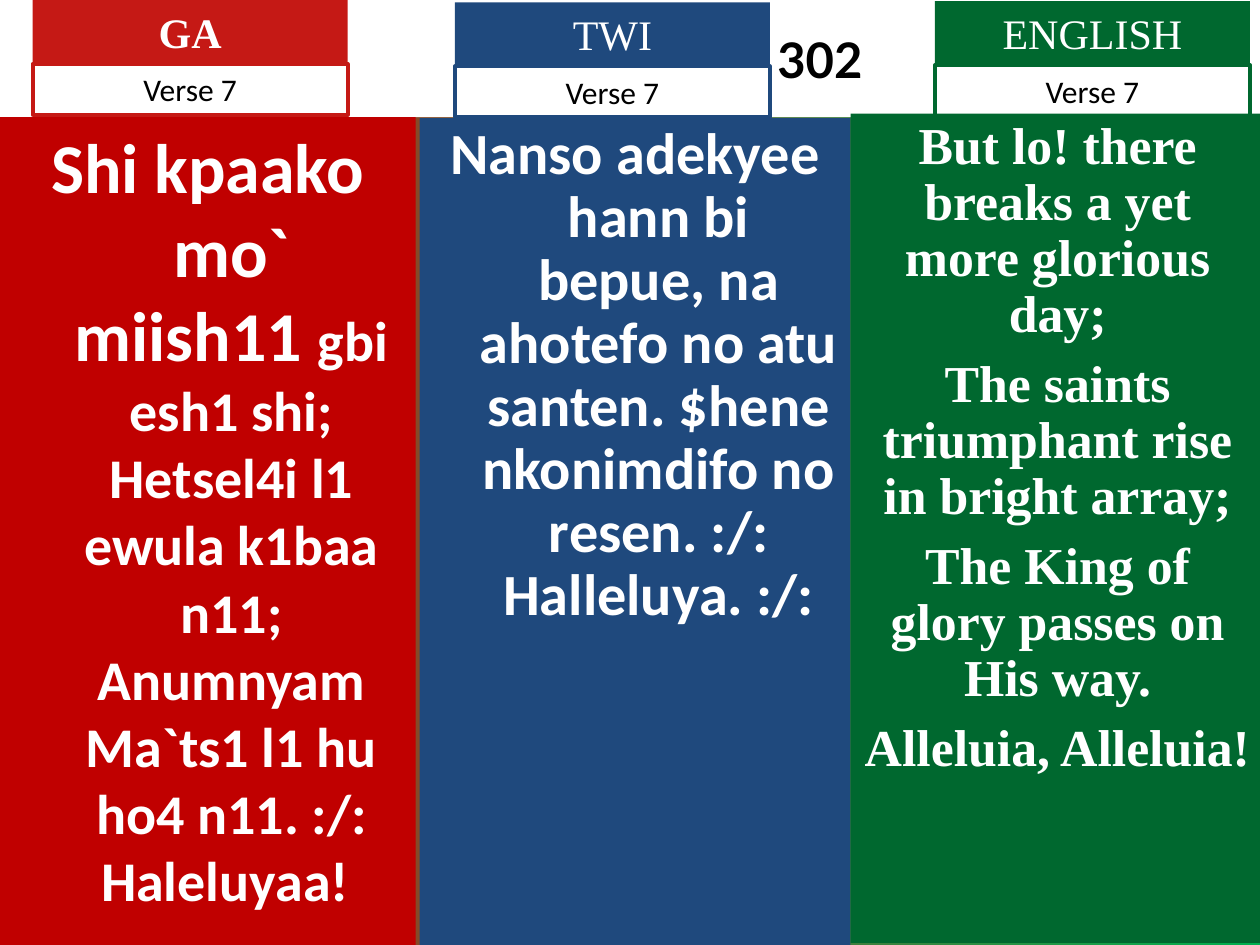
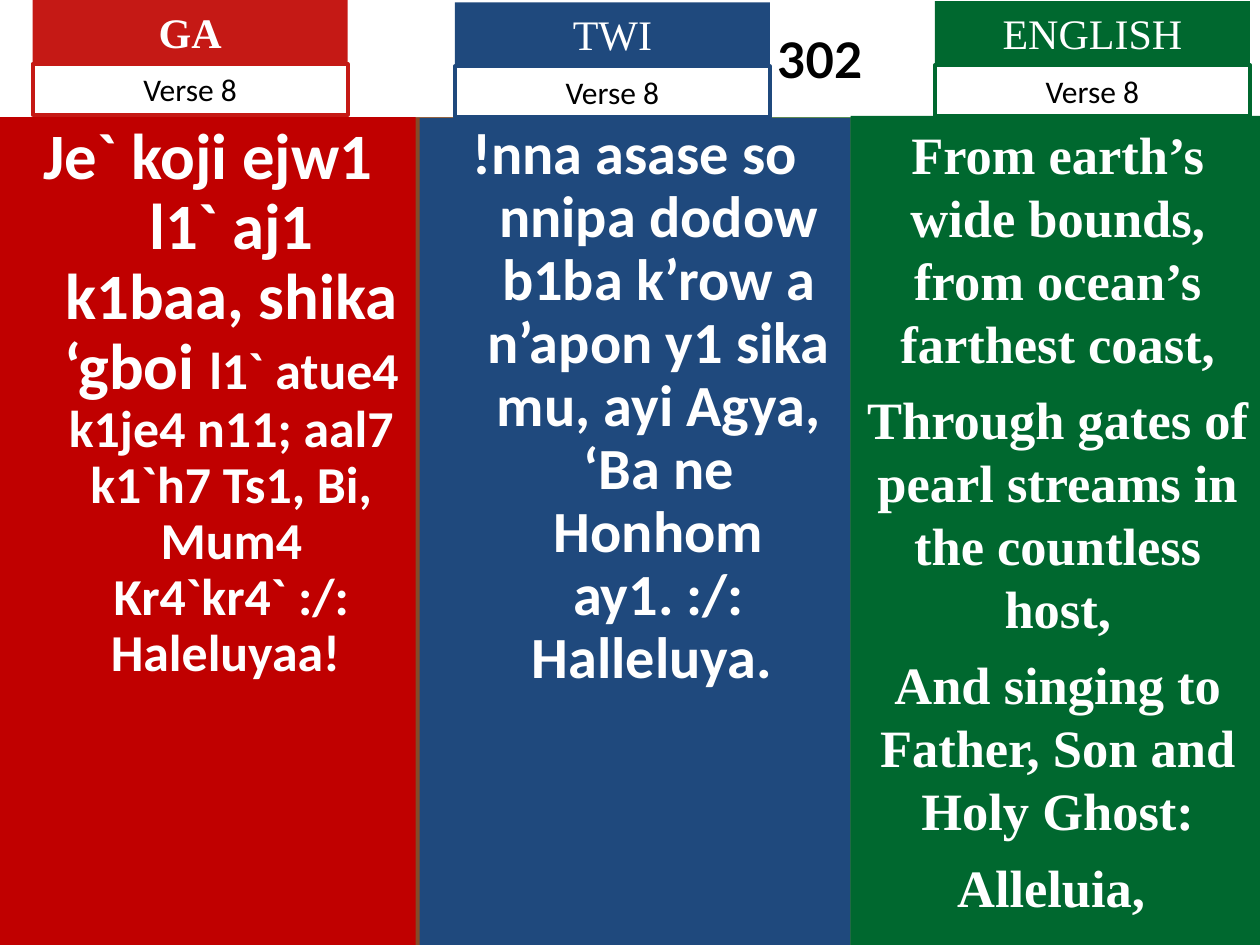
from dataclasses import dataclass

from pptx import Presentation
from pptx.dml.color import RGBColor
from pptx.enum import shapes, text
from pptx.util import Pt

HYMN_NUMBER = "302"

# Text columns: left, width; language tabs: left, top
COLUMNS = [
    dict(language="GA", bold=True, panel="C00000", tab="C51915",
         left=0, width=237.6, tab_at=(18.72, 0), font="Calibri", hanging=27),
    dict(language="TWI", bold=False, panel="1F497D", tab="1F497D",
         left=239.76, width=246.24, tab_at=(260, 1.44), font="Calibri", hanging=27),
    dict(language="ENGLISH", bold=False, panel="00682F", tab="00682F",
         left=486, width=236.88, tab_at=(534.24, 0.72), font="Times New Roman",
         hanging=0),
]

# Each verse holds one stanza per column; a paragraph is a list of (text, size) runs
VERSES = [
    dict(label="Verse 7", stanzas=[
        dict(top=67, height=473, spacing=1.0, gap=0, paragraphs=[
            [("Shi kpaako mo` miish11 ", 40),
             ("gbi esh1 shi; Hetsel4i l1 ewula k1baa n11; Anumnyam Ma`ts1 l1 hu "
              "ho4 n11. :/: Haleluyaa! ", 32)]]),
        dict(top=67.5, height=472.5, spacing=0.9, gap=0, paragraphs=[
            [("Nanso adekyee hann bi bepue, na ahotefo no atu santen. $hene "
              "nkonimdifo no resen. :/: Halleluya. :/:", 33.3)]]),
        dict(top=65, height=473.76, spacing=0.9, gap=8, paragraphs=[
            [("But lo! there breaks a yet more glorious day;", 29.6)],
            [("The saints triumphant rise in bright array;", 29.6)],
            [("The King of glory passes on His way.", 29.6)],
            [("Alleluia, Alleluia!", 29.6)]]),
    ]),
    dict(label="Verse 8", stanzas=[
        dict(top=67, height=473, spacing=0.9, gap=0, paragraphs=[
            [("Je` koji ejw1 l1` aj1 k1baa, shika ‘gboi ", 37),
             ("l1` atue4 k1je4 n11; aal7 k1`h7 Ts1, Bi, Mum4 Kr4`kr4` :/: "
              "Haleluyaa! ", 29.6)]]),
        dict(top=67.5, height=472.5, spacing=0.9, gap=0, paragraphs=[
            [("!nna asase so nnipa dodow b1ba k’row a n’apon y1 sika mu, ayi "
              "Agya, ‘Ba ne Honhom ay1. :/: Halleluya. ", 33.3)]]),
        dict(top=66.24, height=473.76, spacing=1.0, gap=7.5, paragraphs=[
            [("From earth’s wide bounds, from ocean’s farthest coast,", 30)],
            [("Through gates of pearl streams in the countless host,", 30)],
            [("And singing to Father, Son and Holy Ghost:", 30)],
            [("Alleluia, ", 30)]]),
    ]),
]


@dataclass(frozen=True)
class Theme:
    white: str = "FFFFFF"
    black: str = "000000"
    gradient: tuple = ("C51915", "00B050")
    number_font: str = "Lato"
    tab_font: str = "Times New Roman"
    label_font: str = "Calibri"
    number_size: float = 28
    tab_size: float = 24
    label_size: float = 18
    outline: float = 2.25


THEME = Theme()
SLIDE_W, SLIDE_H = 720, 540
BAND_H = 67
NUMBER_INSET = 217
TAB_W, TAB_H = 180, 36
LABEL_OFFSET, LABEL_H = 36.5, 29


def rgb(value):
    return RGBColor.from_string(value)


def add_box(s, left, top, width, height, fill=None, line=None):
    sp = s.shapes.add_shape(shapes.MSO_SHAPE.RECTANGLE,
                            Pt(left), Pt(top), Pt(width), Pt(height))
    sp.shadow.inherit = False
    if fill:
        sp.fill.solid()
        sp.fill.fore_color.rgb = rgb(fill)
    else:
        sp.fill.background()
    if line:
        sp.line.color.rgb = rgb(line)
        sp.line.width = Pt(THEME.outline)
    else:
        sp.line.fill.background()
    tf = sp.text_frame
    tf.word_wrap = True
    tf.vertical_anchor = text.MSO_ANCHOR.MIDDLE
    return tf


def add_run(p, words, font, size, color, bold=False):
    p.alignment = text.PP_ALIGN.CENTER
    r = p.add_run()
    r.text = words
    r.font.name = font
    r.font.size = Pt(size)
    r.font.bold = bold
    r.font.color.rgb = rgb(color)


def set_background(s):
    fill = s.background.fill
    fill.gradient()
    fill.gradient_angle = 0
    for stop, color in zip(fill.gradient_stops, THEME.gradient):
        stop.color.rgb = rgb(color)


def add_number_band(s):
    tf = add_box(s, 0, 0, SLIDE_W, BAND_H, fill=THEME.white)
    tf.margin_left, tf.margin_right = Pt(NUMBER_INSET), 0
    add_run(tf.paragraphs[0], HYMN_NUMBER, THEME.number_font, THEME.number_size,
            THEME.black, bold=True)


def add_stanza(s, column, stanza):
    tf = add_box(s, column["left"], stanza["top"], column["width"],
                 stanza["height"], fill=column["panel"])
    tf.vertical_anchor = text.MSO_ANCHOR.TOP
    for i, runs in enumerate(stanza["paragraphs"]):
        p = tf.add_paragraph() if i else tf.paragraphs[0]
        p.line_spacing = stanza["spacing"]
        if i:
            p.space_before = Pt(stanza["gap"])
        if column["hanging"]:
            pPr = p._p.get_or_add_pPr()
            pPr.set("marL", str(Pt(column["hanging"])))
            pPr.set("indent", str(-Pt(column["hanging"])))
        for words, size in runs:
            add_run(p, words, column["font"], size, THEME.white, bold=True)


def add_language_tab(s, column, label):
    left, top = column["tab_at"]
    tf = add_box(s, left, top, TAB_W, TAB_H, fill=column["tab"])
    add_run(tf.paragraphs[0], column["language"], THEME.tab_font, THEME.tab_size,
            THEME.white, column["bold"])
    tf = add_box(s, left, top + LABEL_OFFSET, TAB_W, LABEL_H, line=column["tab"])
    add_run(tf.paragraphs[0], label, THEME.label_font, THEME.label_size, THEME.black)


def main():
    prs = Presentation()
    prs.slide_width, prs.slide_height = Pt(SLIDE_W), Pt(SLIDE_H)
    for verse in VERSES:
        s = prs.slides.add_slide(prs.slide_layouts[6])
        set_background(s)
        add_number_band(s)
        for column, stanza in zip(COLUMNS, verse["stanzas"]):
            add_stanza(s, column, stanza)
            add_language_tab(s, column, verse["label"])
    prs.save("out.pptx")


if __name__ == "__main__":
    main()
